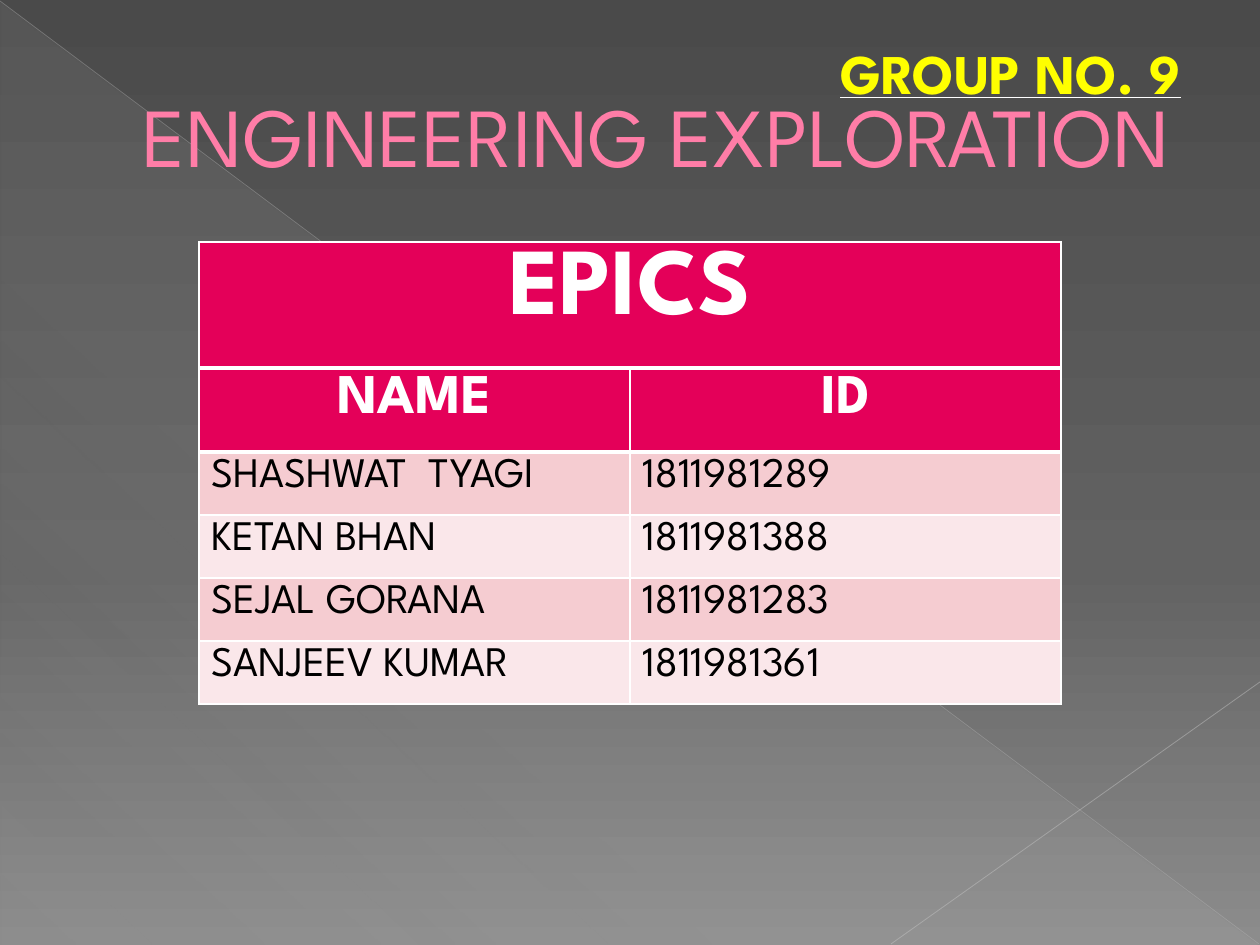
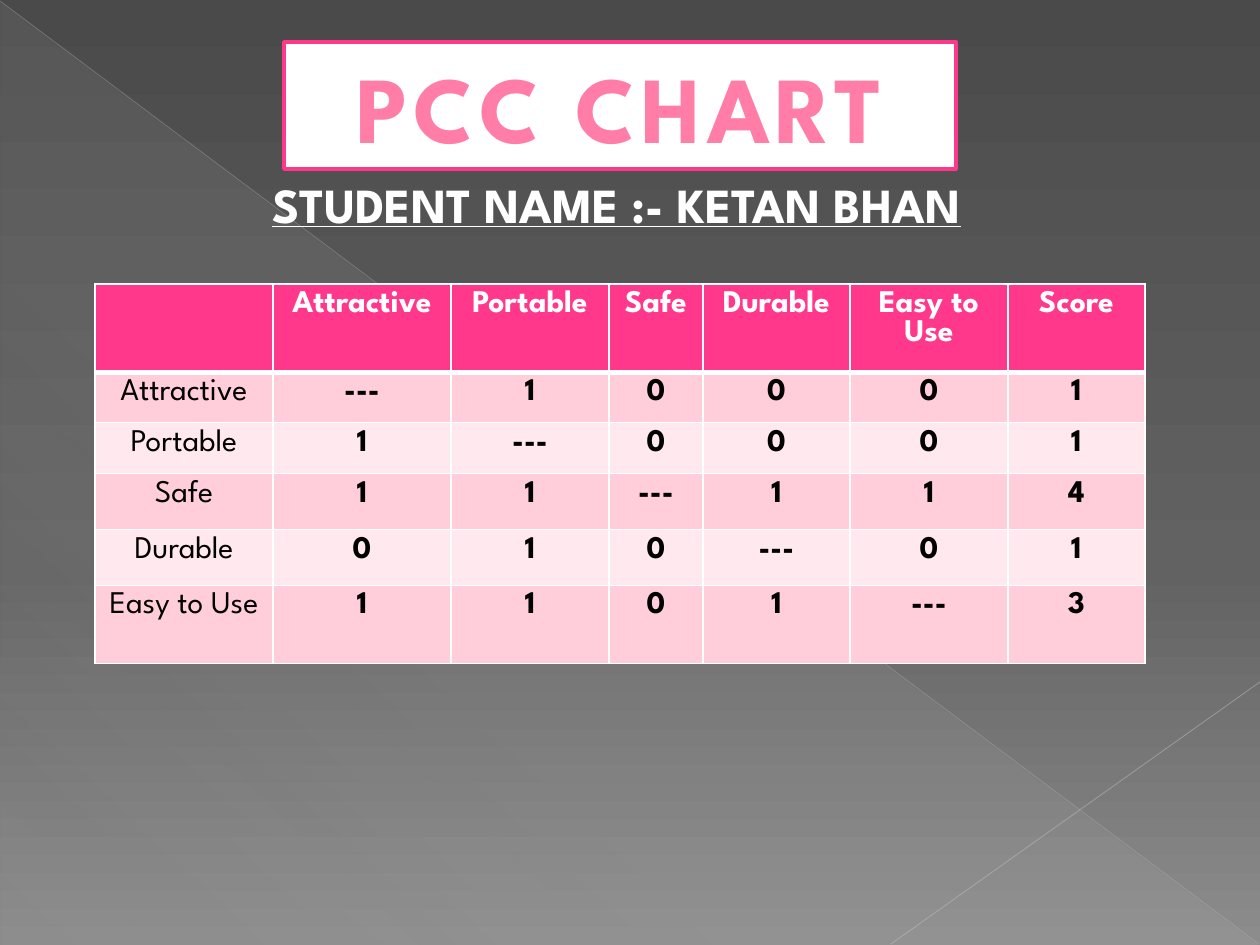
import pptx
import pptx.util
import pptx.oxml
import pptx.oxml.ns
import pptx.dml.color
import pptx.enum.dml
import pptx.enum.shapes
import pptx.enum.text

SCALE = 7257
FONT = "League Spartan"
RGB = pptx.dml.color.RGBColor
WHITE = RGB(0xFF, 0xFF, 0xFF)
BLACK = RGB(0x00, 0x00, 0x00)
YELLOW = RGB(0xFF, 0xFF, 0x00)
PINK = RGB(0xFF, 0x7D, 0xA7)
HOT_PINK = RGB(0xFF, 0x38, 0x8C)
CRIMSON = RGB(0xE4, 0x00, 0x59)
DEEP_PINK = RGB(0xE1, 0x05, 0x62)
OUTLINE_PINK = RGB(0xB1, 0x27, 0x61)
OUTLINE_PALE = RGB(0xFF, 0xF4, 0xF7)
ROSE_BANDS = [RGB(0xF5, 0xCC, 0xD1), RGB(0xFA, 0xE7, 0xEA)]
PINK_BANDS = [RGB(0xFF, 0xCE, 0xDA), RGB(0xFF, 0xE8, 0xEE)]
GREY_TOP = RGB(0x4A, 0x4A, 0x4A)
GREY_MIDDLE = RGB(0x62, 0x62, 0x62)
GREY_BOTTOM = RGB(0x8C, 0x8C, 0x8C)
VEIL = RGB(0xD2, 0xD2, 0xD2)
RAY_LONG = RGB(0xBF, 0xBF, 0xBF)
RAY_SHORT = RGB(0xC6, 0xC6, 0xC6)
NAMESPACE = pptx.oxml.ns.nsdecls("a")
CENTER = pptx.enum.text.PP_ALIGN.CENTER
LEFT = pptx.enum.text.PP_ALIGN.LEFT


def gradient(stops, angle):
    marks = "".join(
        f'<a:gs pos="{place * 1000}"><a:srgbClr val="{color}">'
        f'<a:alpha val="{opacity * 1000}"/></a:srgbClr></a:gs>'
        for place, color, opacity in stops)
    return pptx.oxml.parse_xml(
        f'<a:gradFill {NAMESPACE} rotWithShape="1"><a:gsLst>{marks}</a:gsLst>'
        f'<a:lin ang="{angle * 60000}" scaled="0"/></a:gradFill>')


def write(para, text, size, color, bold=False, underline=False, align=LEFT):
    para.alignment = align
    span = para.add_run()
    span.text = text
    values = {"name": FONT, "size": pptx.util.Pt(size), "bold": bold, "underline": underline}
    for key, value in values.items():
        setattr(span.font, key, value)
    span.font.color.rgb = color
    return span


deck = pptx.Presentation()
deck.slide_width = pptx.util.Inches(10)
deck.slide_height = pptx.util.Inches(7.5)
cover, chart = [deck.slides.add_slide(deck.slide_layouts[5]) for _ in range(2)]

master = deck.slide_master
master.background.fill.solid()
plain_fill = master.background.element.xpath("p:bg/p:bgPr/a:solidFill")[0]
plain_fill.getparent().replace(plain_fill, gradient(
    [(0, GREY_TOP, 100), (60, GREY_MIDDLE, 100), (100, GREY_BOTTOM, 100)], 90))

triangle = cover.shapes.add_shape(
    pptx.enum.shapes.MSO_SHAPE.RIGHT_TRIANGLE, 1 * SCALE, 2 * SCALE, 1258 * SCALE, 943 * SCALE)
triangle.shadow.inherit = False
triangle.line.fill.background()
triangle.fill.solid()
plain_fill = triangle.element.spPr.find(pptx.oxml.ns.qn("a:solidFill"))
triangle.element.spPr.replace(plain_fill, gradient(
    [(0, VEIL, 10), (70, VEIL, 8), (100, VEIL, 1)], 133))

decorations = [triangle]
for ends, color, width, opacity in [
    ((0, 1, 1259, 944), RAY_LONG, 0.39, 35),
    ((1260, 682, 891, 944), RAY_SHORT, 0.47, 45),
]:
    ray = cover.shapes.add_connector(
        pptx.enum.shapes.MSO_CONNECTOR.STRAIGHT, *[end * SCALE for end in ends])
    ray.line.color.rgb = color
    ray.line.width = pptx.util.Pt(width)
    ray.element.xpath(".//a:ln//a:srgbClr")[0].append(
        pptx.oxml.parse_xml(f'<a:alpha {NAMESPACE} val="{opacity * 1000}"/>'))
    ray.element.spPr.append(pptx.oxml.parse_xml(f"<a:effectLst {NAMESPACE}/>"))
    decorations.append(ray)

for position, decoration in enumerate(decorations):
    decoration.element.xpath(".//p:cNvPr")[0].set("id", str(20 + position))
    master.shapes.element.insert(2 + position, decoration.element)

titles = [
    (cover, (63, 37, 1134, 193), "ENGINEERING EXPLORATION", 48, False, LEFT, OUTLINE_PINK, 0.5),
    (chart, (284, 42, 672, 127), "PCC CHART", 54, True, CENTER, OUTLINE_PALE, 0.9),
]
for page, place, text, size, bold, align, outline, width in titles:
    title = page.shapes.title
    for key, value in zip(("left", "top", "width", "height"), place):
        setattr(title, key, value * SCALE)
    frame = title.text_frame
    frame.word_wrap = True
    frame.auto_size = pptx.enum.text.MSO_AUTO_SIZE.NONE
    frame.vertical_anchor = pptx.enum.text.MSO_ANCHOR.MIDDLE
    span = write(frame.paragraphs[0], text, size, PINK, bold, False, align)
    span.font._element.insert(0, pptx.oxml.parse_xml(
        f'<a:ln {NAMESPACE} w="{round(width * 12700)}"><a:solidFill>'
        f'<a:srgbClr val="{outline}"/></a:solidFill></a:ln>'))

cover.shapes.title.text_frame.paragraphs[0]._p.get_or_add_pPr().set("marL", str(67 * SCALE))

banner = chart.shapes.title
banner.fill.solid()
banner.fill.fore_color.rgb = WHITE
banner.line.color.rgb = HOT_PINK
banner.line.width = pptx.util.Pt(2)
banner_font = banner.text_frame.paragraphs[0].runs[0].font
banner_font._element.set("spc", "300")
plain_fill = banner_font._element.find(pptx.oxml.ns.qn("a:solidFill"))
banner_font._element.replace(plain_fill, gradient([(10, PINK, 100), (75, DEEP_PINK, 100)], 90))
banner_font._element.find(pptx.oxml.ns.qn("a:latin")).addprevious(pptx.oxml.parse_xml(
    f'<a:effectLst {NAMESPACE}><a:outerShdw blurRad="12700" dist="25400" dir="2700000">'
    f'<a:srgbClr val="{PINK}"><a:alpha val="50000"/></a:srgbClr></a:outerShdw></a:effectLst>'))

captions = [
    (cover, (819, 32, 441, 126), "GROUP NO. 9", 32, YELLOW, LEFT, True),
    (chart, (246, 168, 741, 72), "STUDENT NAME :- KETAN BHAN", 28, WHITE, CENTER, False),
]
for page, place, text, size, color, align, wrap in captions:
    box = page.shapes.add_textbox(*[length * SCALE for length in place])
    box.text_frame.word_wrap = wrap
    para = box.text_frame.paragraphs[0]
    span = write(para, text, size, color, True, True, align)
    span.font._element.find(pptx.oxml.ns.qn("a:latin")).addprevious(pptx.oxml.parse_xml(
        f'<a:uFill {NAMESPACE}><a:solidFill><a:srgbClr val="{WHITE}"/></a:solidFill></a:uFill>'))
    if page is cover:
        para.space_before = pptx.util.Pt(6.4)
        para._p.get_or_add_pPr().set("marL", str(62 * SCALE))
        para._p.get_or_add_pPr().set("indent", str(-53 * SCALE))

members = [
    ["NAME", "ID"],
    ["SHASHWAT  TYAGI", "1811981289"],
    ["KETAN BHAN", "1811981388"],
    ["SEJAL GORANA", "1811981283"],
    ["SANJEEV KUMAR", "1811981361"],
]
comparison = [
    ["", "Attractive", "Portable", "Safe", "Durable", "Easy to Use", "Score"],
    ["Attractive", "---", "1", "0", "0", "0", "1"],
    ["Portable", "1", "---", "0", "0", "0", "1"],
    ["Safe", "1", "1", "---", "1", "1", "4"],
    ["Durable", "0", "1", "0", "---", "0", "1"],
    ["Easy to Use", "1", "1", "0", "1", "---", "3"],
]
tables = [
    dict(page=cover, left=199, top=368, rows=members, widths=[431] * 2,
         heights=[84] + [63] * 4, header=CRIMSON, bands=ROSE_BANDS,
         sizes=(32, 24), align=LEFT, bold_values=False),
    dict(page=cover, left=199, top=242, rows=[["EPICS"]], widths=[862],
         heights=[99], header=CRIMSON, bands=ROSE_BANDS,
         sizes=(54, 24), align=LEFT, bold_values=False),
    dict(page=chart, left=95, top=284, rows=comparison,
         widths=[178, 178, 158, 94, 147, 158, 137], heights=[88, 50, 51, 56, 56, 78],
         header=HOT_PINK, bands=PINK_BANDS, sizes=(18, 18), align=CENTER, bold_values=True),
]
for plan in tables:
    rows, widths, heights = plan["rows"], plan["widths"], plan["heights"]
    table = plan["page"].shapes.add_table(
        len(rows), len(widths), plan["left"] * SCALE, plan["top"] * SCALE,
        sum(widths) * SCALE, sum(heights) * SCALE).table
    for column, width in zip(table.columns, widths):
        column.width = width * SCALE
    for row, height in zip(table.rows, heights):
        row.height = height * SCALE
    for r, texts in enumerate(rows):
        heading = r == 0
        for c, text in enumerate(texts):
            cell = table.cell(r, c)
            cell.fill.solid()
            cell.fill.fore_color.rgb = plan["header"] if heading else plan["bands"][(r - 1) % 2]
            if text:
                write(cell.text_frame.paragraphs[0], text, plan["sizes"][0 if heading else 1],
                      WHITE if heading else BLACK, heading or (plan["bold_values"] and c > 0),
                      False, CENTER if heading else plan["align"])
            edges = {"lnL": 1, "lnR": 1, "lnT": 3 if r == 1 else 1, "lnB": 3 if heading else 1}
            for position, (edge, width) in enumerate(edges.items()):
                cell._tc.get_or_add_tcPr().insert(position, pptx.oxml.parse_xml(
                    f'<a:{edge} {NAMESPACE} w="{width * 12700}"><a:solidFill>'
                    f'<a:srgbClr val="{WHITE}"/></a:solidFill></a:{edge}>'))

deck.save("out.pptx")
